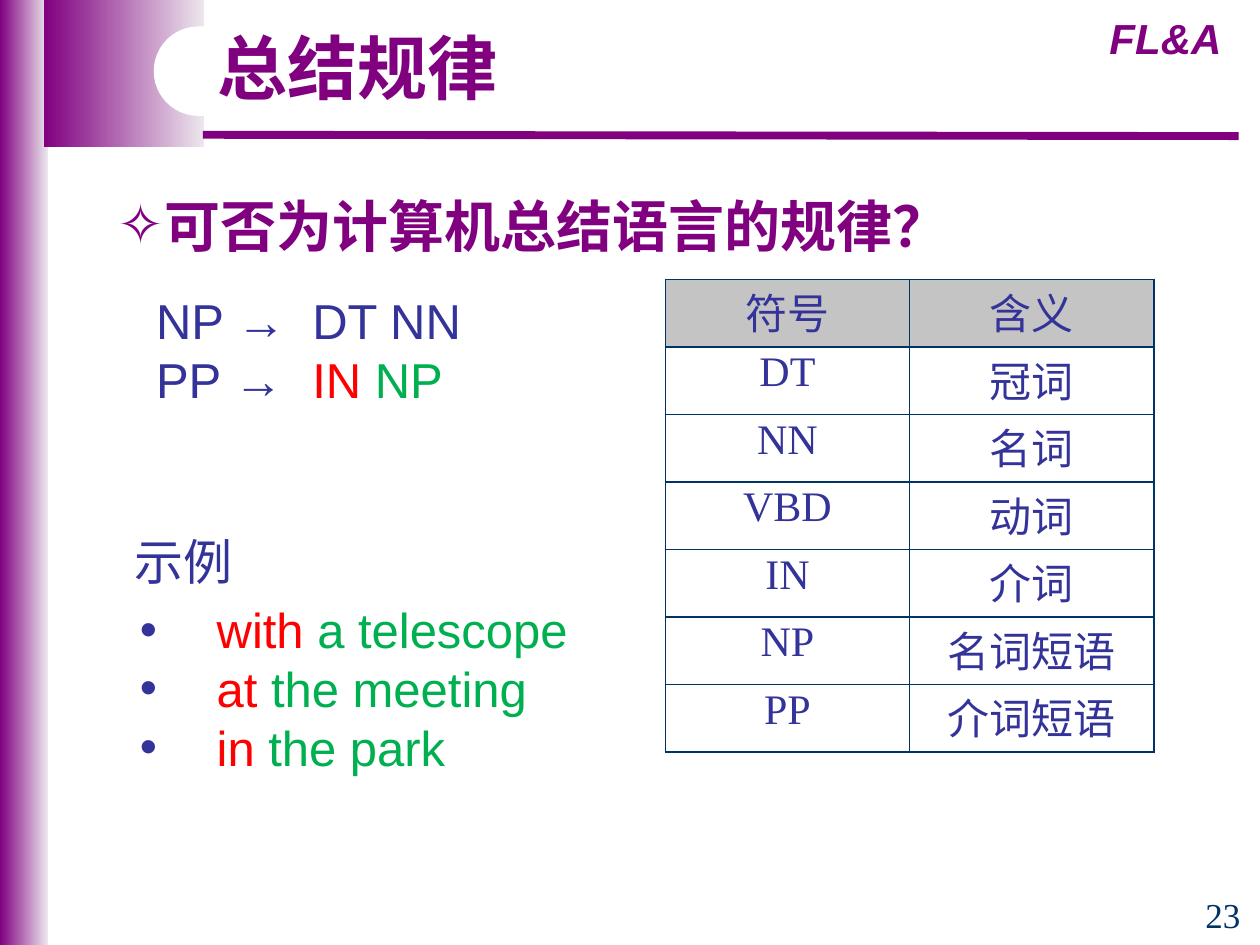
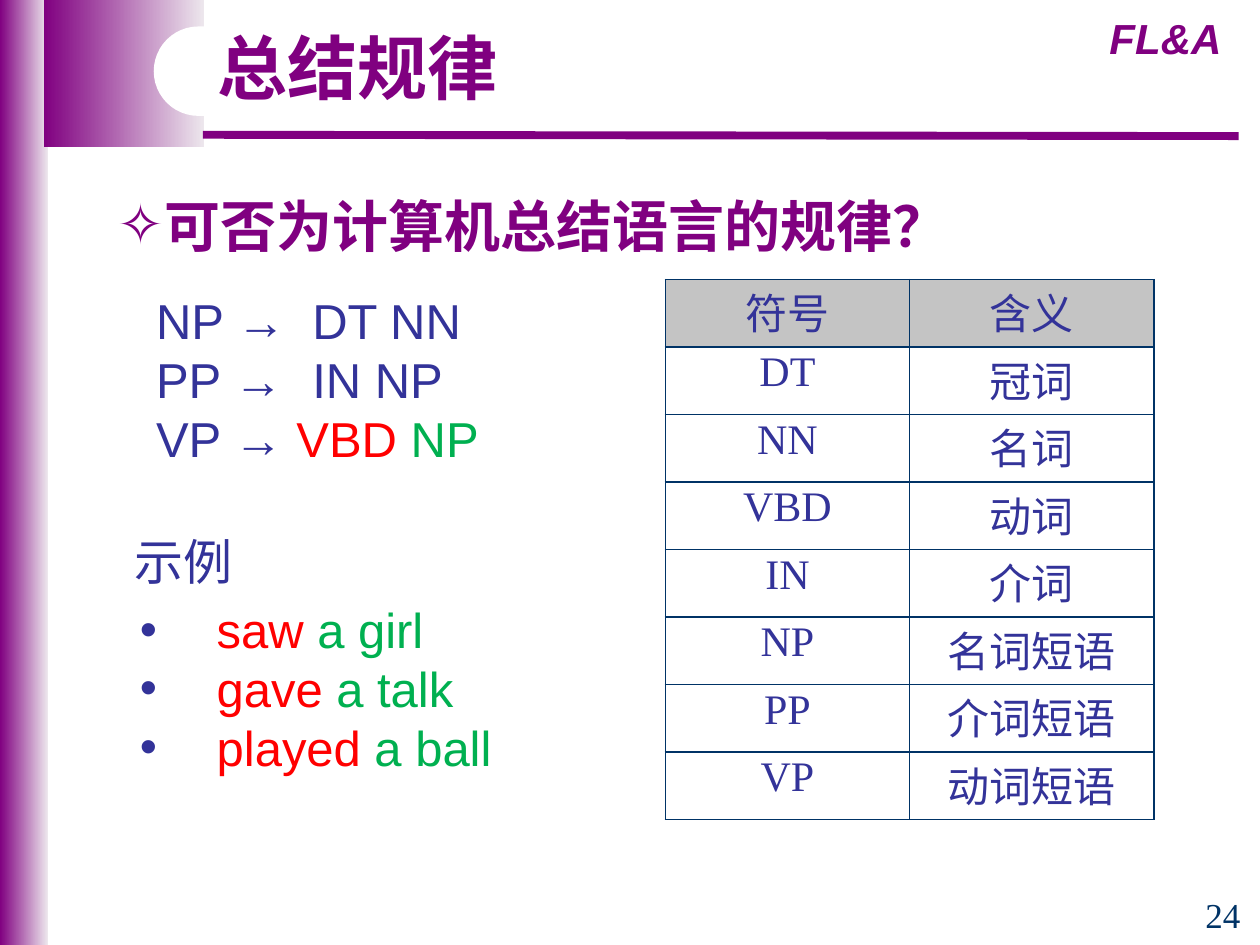
from dataclasses import dataclass
from typing import Any, NamedTuple

from lxml import etree
from pptx import Presentation
from pptx import util as u
from pptx.dml import color
from pptx.enum import dml, shapes, text
from pptx.oxml import ns

SCALE = 9144


@dataclass(frozen=True)
class Theme:
    purple: str = "800080"
    pale: str = "EDE7ED"
    white: str = "FFFFFF"
    blue: str = "333399"
    navy: str = "003366"
    red: str = "FF0000"
    green: str = "00B050"
    gray: str = "A6A6A6"
    sans: str = "Arial"
    serif: str = "Times New Roman"
    cjk: str = "Noto Sans CJK SC"
    title: int = 40
    heading: int = 32
    body: int = 28
    cell: int = 24
    number: int = 20


T = Theme()


class Box(NamedTuple):
    left: int
    top: int
    width: int
    height: int


class Run(NamedTuple):
    text: str
    color: str = T.blue


@dataclass(frozen=True)
class RuleSlide:
    number: int
    rules: list[list[Run]]
    symbols: list[tuple[str, str]]
    examples: list[tuple[str, str]]


TITLE = {"size": T.title, "name": T.cjk, "color": T.purple, "bold": True}
HEADING = {**TITLE, "size": T.heading}
COURSE = {"size": T.cell, "name": T.sans, "color": T.purple, "bold": True, "italic": True}
BODY = {"size": T.body, "name": T.sans}
LABEL = {"size": T.body, "name": T.serif}
CELL = {"size": T.cell, "name": T.serif, "bold": False}
NUMBER = {"size": T.number, "name": T.serif, "color": T.navy}
CENTER = {"alignment": text.PP_ALIGN.CENTER}
CENTER_TIGHT = {**CENTER, "line_spacing": 0.9}

ROW = 50
COLUMN = 194
TAB = 124

BASE_SYMBOLS = [("符号", "含义"), ("DT", "冠词"), ("NN", "名词"), ("VBD", "动词"),
                ("IN", "介词"), ("NP", "名词短语"), ("PP", "介词短语")]
NP_RULE = [Run("NP →\tDT NN")]
SLIDES = [
    RuleSlide(23, [NP_RULE, [Run("PP →\t"), Run("IN ", T.red), Run("NP", T.green)]],
              BASE_SYMBOLS,
              [("with ", "a telescope"), ("at ", "the meeting"), ("in ", "the park")]),
    RuleSlide(24, [NP_RULE, [Run("PP →\tIN NP")],
                   [Run("VP → "), Run("VBD ", T.red), Run("NP", T.green)]],
              BASE_SYMBOLS + [("VP", "动词短语")],
              [("saw ", "a girl"), ("gave ", "a talk"), ("played ", "a ball")]),
]


def emu(px: int) -> u.Emu:
    return u.Emu(px * SCALE)


def rgb(value: str) -> color.RGBColor:
    return color.RGBColor.from_string(value)


def sub(parent: Any, tag: str, **attrs: Any) -> Any:
    return etree.SubElement(parent, ns.qn(tag), {k: str(v) for k, v in attrs.items()})


def set_all(target: Any, values: dict[str, Any]) -> None:
    for name, value in values.items():
        setattr(target, name, value)


def place(s: Any, box: Box) -> None:
    set_all(s, {name: emu(px) for name, px in box._asdict().items()})


def add_run(p: Any, run: Run, style: dict[str, Any]) -> None:
    r = p.add_run()
    r.text = run.text
    values = {"color": run.color, **style}
    r.font.color.rgb = rgb(values.pop("color"))
    values["size"] = u.Pt(values["size"])
    set_all(r.font, values)
    sub(r.font._element, "a:ea", typeface=T.cjk)


def write(tf: Any, lines: list[list[Run]], style: dict[str, Any],
          para: dict[str, Any], bullet: str = "", indent: int = 0,
          bullet_color: str = T.blue, tab: int = 0) -> None:
    for i, line in enumerate(lines):
        p = tf.paragraphs[0] if i == 0 else tf.add_paragraph()
        set_all(p, {"space_before": u.Pt(0), "space_after": u.Pt(0), "line_spacing": 1.0, **para})
        pPr = p._p.get_or_add_pPr()
        if bullet:
            pPr.set("marL", str(emu(indent)))
            pPr.set("indent", str(-emu(indent)))
            sub(sub(pPr, "a:buClr"), "a:srgbClr", val=bullet_color)
            sub(pPr, "a:buFont", typeface=T.sans)
            sub(pPr, "a:buChar", char=bullet)
        if tab:
            sub(sub(pPr, "a:tabLst"), "a:tab", pos=emu(tab), algn="l")
        for run in line:
            add_run(p, run, style)


def frame(s: Any, anchor: Any = text.MSO_ANCHOR.TOP) -> Any:
    tf = s.text_frame
    set_all(tf, {"word_wrap": True, "auto_size": text.MSO_AUTO_SIZE.NONE,
                 "vertical_anchor": anchor})
    return tf


def add_text(slide: Any, box: Box, lines: list[list[Run]], style: dict[str, Any],
             para: dict[str, Any], tab: int = 0) -> Any:
    s = slide.shapes.add_textbox(*map(emu, box))
    write(frame(s), lines, style, para, tab=tab)
    return s


def add_panel(slide: Any, kind: Any, box: Box, fills: list[str]) -> Any:
    sp = slide.shapes.add_shape(kind, *map(emu, box))
    sp.shadow.inherit = False
    sp.line.fill.background()
    if len(fills) == 1:
        sp.fill.solid()
        sp.fill.fore_color.rgb = rgb(fills[0])
    else:
        sp.fill.gradient()
        sp.fill.gradient_angle = 0
        for stop, value in zip(sp.fill.gradient_stops, fills):
            stop.color.rgb = rgb(value)
    return sp


def decorate_layout(slide: Any) -> None:
    fade = [T.purple, T.pale]
    rect = shapes.MSO_SHAPE.RECTANGLE
    band = add_panel(slide, rect, Box(0, 0, 38, 750), fade)
    corner = add_panel(slide, rect, Box(35, 0, 127, 117), fade)
    rule = slide.shapes.add_connector(shapes.MSO_CONNECTOR.STRAIGHT,
                                      *map(emu, (161, 107, 983, 108)))
    rule.line.color.rgb = rgb(T.purple)
    rule.line.width = u.Pt(4.5)
    sub(rule.element.spPr, "a:effectLst")
    course = add_text(slide, Box(862, 5, 126, 50), [[Run("FL&A")]], COURSE, CENTER)
    pill = add_panel(slide, shapes.MSO_SHAPE.ROUNDED_RECTANGLE, Box(122, 21, 362, 71), [T.white])
    pill.adjustments[0] = 0.5
    tree = slide.slide_layout.shapes.element
    for s in (band, corner, rule, course, pill):
        tree.append(s.element)


def add_symbol_table(slide: Any, rows: list[tuple[str, str]]) -> None:
    box = Box(528, 222, 2 * COLUMN, ROW * len(rows))
    table = slide.shapes.add_table(len(rows), 2, *map(emu, box)).table
    set_all(table, {"first_row": False, "horz_banding": False})
    for i, row in enumerate(rows):
        for j, value in enumerate(row):
            cell = table.cell(i, j)
            write(cell.text_frame, [[Run(value)]], CELL, CENTER_TIGHT)
            tcPr = cell._tc.get_or_add_tcPr()
            for side in ("a:lnL", "a:lnR", "a:lnT", "a:lnB"):
                ln = sub(tcPr, side, w=u.Pt(1))
                sub(sub(ln, "a:solidFill"), "a:srgbClr", val=T.navy)
            if i == 0:
                sub(sub(sub(tcPr, "a:solidFill"), "a:srgbClr", val=T.gray),
                    "a:alpha", val=66000)
            else:
                cell.fill.background()


def fill_slide(slide: Any, content: RuleSlide) -> None:
    title, heading, examples = slide.placeholders
    place(title, Box(163, 21, 424, 72))
    write(frame(title, text.MSO_ANCHOR.MIDDLE), [[Run("总结规律")]], TITLE,
          {"alignment": text.PP_ALIGN.LEFT, "line_spacing": 0.9})
    place(heading, Box(83, 147, 867, 64))
    write(frame(heading), [[Run("可否为计算机总结语言的规律？")]], HEADING, {},
          bullet="✧", indent=37, bullet_color=T.purple)
    add_text(slide, Box(114, 226, 400, 47 * len(content.rules) + 10), content.rules,
             BODY, {}, tab=TAB)
    add_symbol_table(slide, content.symbols)
    place(examples, Box(101, 471, 630, 151))
    write(frame(examples), [[Run(head, T.red), Run(rest, T.green)]
                            for head, rest in content.examples], BODY, {},
          bullet="•", indent=61)
    add_text(slide, Box(28, 422, 236, 53), [[Run("示例")]], LABEL, CENTER_TIGHT)
    add_text(slide, Box(941, 708, 59, 40), [[Run(str(content.number))]], NUMBER, CENTER_TIGHT)


def main() -> None:
    prs = Presentation()
    prs.slide_width, prs.slide_height = emu(1000), emu(750)
    layout = prs.slide_layouts[3]
    for i, content in enumerate(SLIDES):
        slide = prs.slides.add_slide(layout)
        if i == 0:
            decorate_layout(slide)
        fill_slide(slide, content)
    prs.save("out.pptx")


if __name__ == "__main__":
    main()
